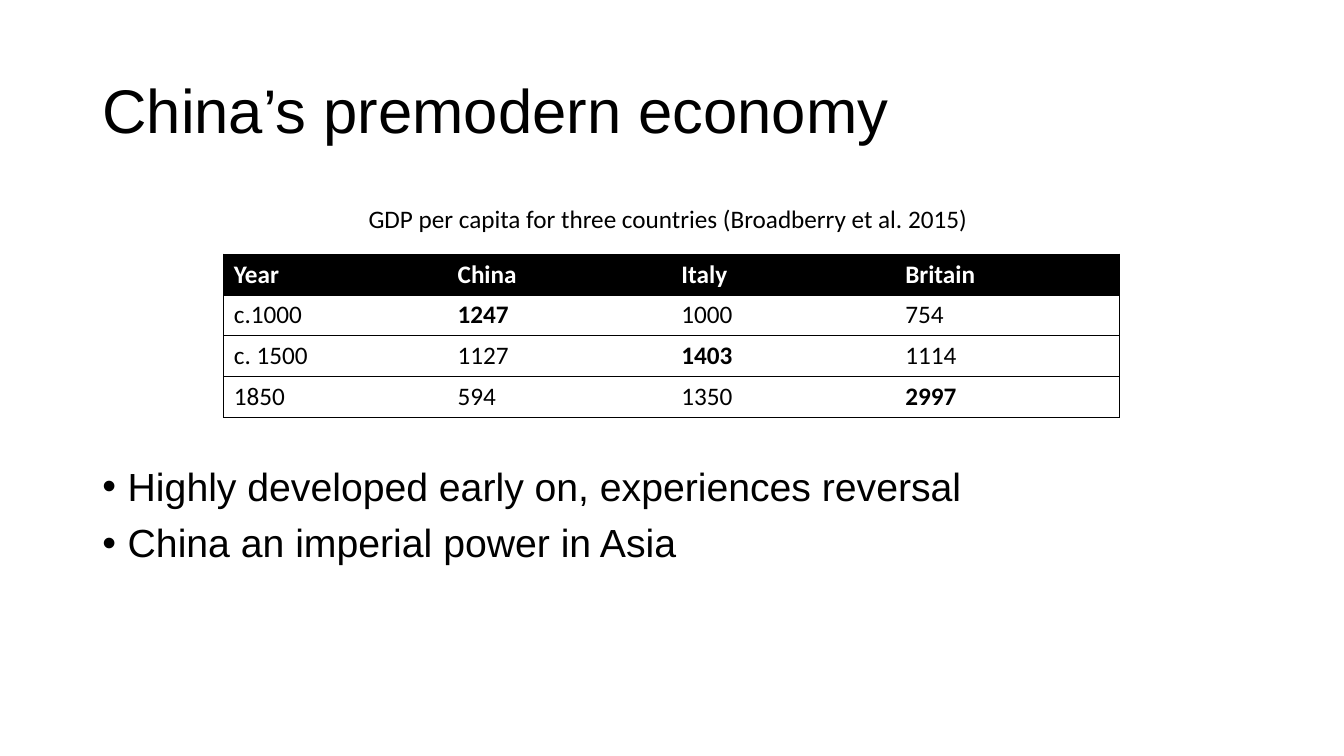
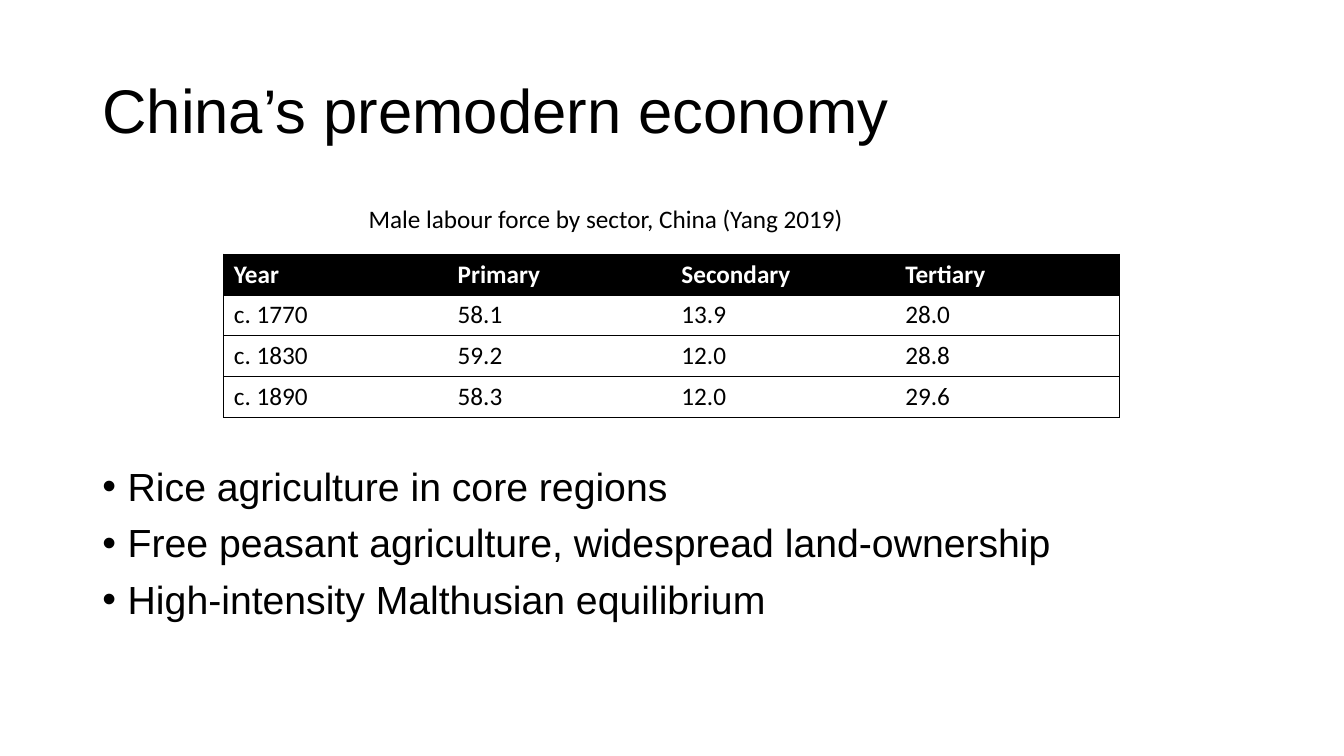
import pptx
import pptx.dml.color
import pptx.enum.text
import pptx.oxml
import pptx.oxml.ns
import pptx.util
from pptx.util import Cm, Pt

COLORS = {"ink": "000000", "paper": "FFFFFF"}
HEADING_FONT, TABLE_FONT = "Arial", "Calibri"
TITLE = "China’s premodern economy"

SLIDES = [
    {
        "caption": "GDP per capita for three countries (Broadberry et al. 2015)",
        "caption_width": 15.77,
        "rows": [
            ("Year", "China", "Italy", "Britain"),
            ("c.1000", "1247", "1000", "754"),
            ("c. 1500", "1127", "1403", "1114"),
            ("1850", "594", "1350", "2997"),
        ],
        "bold": {"1247", "1403", "2997"},
        "bullets": [
            "Highly developed early on, experiences reversal",
            "China an imperial power in Asia",
        ],
    },
    {
        "caption": "Male labour force by sector, China (Yang 2019)",
        "caption_width": 12.6,
        "rows": [
            ("Year", "Primary", "Secondary", "Tertiary"),
            ("c. 1770", "58.1", "13.9", "28.0"),
            ("c. 1830", "59.2", "12.0", "28.8"),
            ("c. 1890", "58.3", "12.0", "29.6"),
        ],
        "bold": set(),
        "bullets": [
            "Rice agriculture in core regions",
            "Free peasant agriculture, widespread land-ownership",
            "High-intensity Malthusian equilibrium",
        ],
    },
]

MARGIN, CONTENT_WIDTH = 2.33, 29.21
TABLE_LEFT, TABLE_TOP = 5.64, 6.4
COLUMN_WIDTH, ROW_HEIGHT = 5.64, 1.03
BORDER = Pt(0.5)


def rgb(name):
    return pptx.dml.color.RGBColor.from_string(COLORS[name])


def style_paragraph(p, font, size, color="ink", bold=False):
    for r in p.runs:
        r.font.name = font
        r.font.size = Pt(size)
        r.font.bold = bold
        r.font.color.rgb = rgb(color)


def add_text(s, left, top, width, height, text, font, size):
    tf = s.shapes.add_textbox(Cm(left), Cm(top), Cm(width), Cm(height)).text_frame
    tf.word_wrap = True
    tf.text = text
    for p in tf.paragraphs:
        style_paragraph(p, font, size)
    return tf


def add_title(s):
    tf = add_text(s, MARGIN, 1.01, CONTENT_WIDTH, 3.68, TITLE, HEADING_FONT, 44)
    tf.vertical_anchor = pptx.enum.text.MSO_ANCHOR.MIDDLE
    tf.paragraphs[0].line_spacing = 0.9


def add_caption(s, text, width):
    tf = add_text(s, 9.04, 5, width, 1.03, text, TABLE_FONT, 18)
    tf.word_wrap = False


def add_bullets(s, bullets):
    tf = add_text(s, MARGIN, 11.66, CONTENT_WIDTH, 5.5, "\n".join(bullets), HEADING_FONT, 28)
    for i, p in enumerate(tf.paragraphs):
        p.line_spacing = 0.9
        p.space_before = Pt(10 if i else 0)
        pPr = p._p.get_or_add_pPr()
        pPr.set("marL", str(Cm(0.64)))
        pPr.set("indent", str(-Cm(0.64)))
        for tag, key, value in (("buFont", "typeface", HEADING_FONT), ("buChar", "char", "•")):
            bullet = pptx.oxml.ns.qn(f"a:{tag}")
            pPr.append(pPr.makeelement(bullet, {key: value}))


def set_borders(cell, visible):
    tcPr = cell._tc.get_or_add_tcPr()
    for side in "LRTB":
        fill = "<a:noFill/>"
        if side in visible:
            fill = f'<a:solidFill><a:srgbClr val="{COLORS["ink"]}"/></a:solidFill>'
        ns = pptx.oxml.ns.nsdecls("a")
        tcPr.append(pptx.oxml.parse_xml(f'<a:ln{side} {ns} w="{BORDER}">{fill}</a:ln{side}>'))


def add_data_table(s, rows, bold):
    columns = len(rows[0])
    table = s.shapes.add_table(
        len(rows), columns, Cm(TABLE_LEFT), Cm(TABLE_TOP),
        Cm(COLUMN_WIDTH * columns), Cm(ROW_HEIGHT * len(rows)),
    ).table
    table.horz_banding = False
    for i, row in enumerate(rows):
        header = i == 0
        for j, text in enumerate(row):
            cell = table.cell(i, j)
            cell.text = text
            style_paragraph(
                cell.text_frame.paragraphs[0], TABLE_FONT, 18,
                "paper" if header else "ink", header or text in bold,
            )
            set_borders(cell, "TB" + "L" * (j == 0) + "R" * (j == columns - 1))
            cell.fill.solid()
            cell.fill.fore_color.rgb = rgb("ink" if header else "paper")


def main():
    prs = pptx.Presentation()
    prs.slide_width, prs.slide_height = Cm(33.87), Cm(19.05)
    for content in SLIDES:
        s = prs.slides.add_slide(prs.slide_layouts[6])
        add_title(s)
        add_bullets(s, content["bullets"])
        add_data_table(s, content["rows"], content["bold"])
        add_caption(s, content["caption"], content["caption_width"])
    prs.save("out.pptx")


if __name__ == "__main__":
    main()
